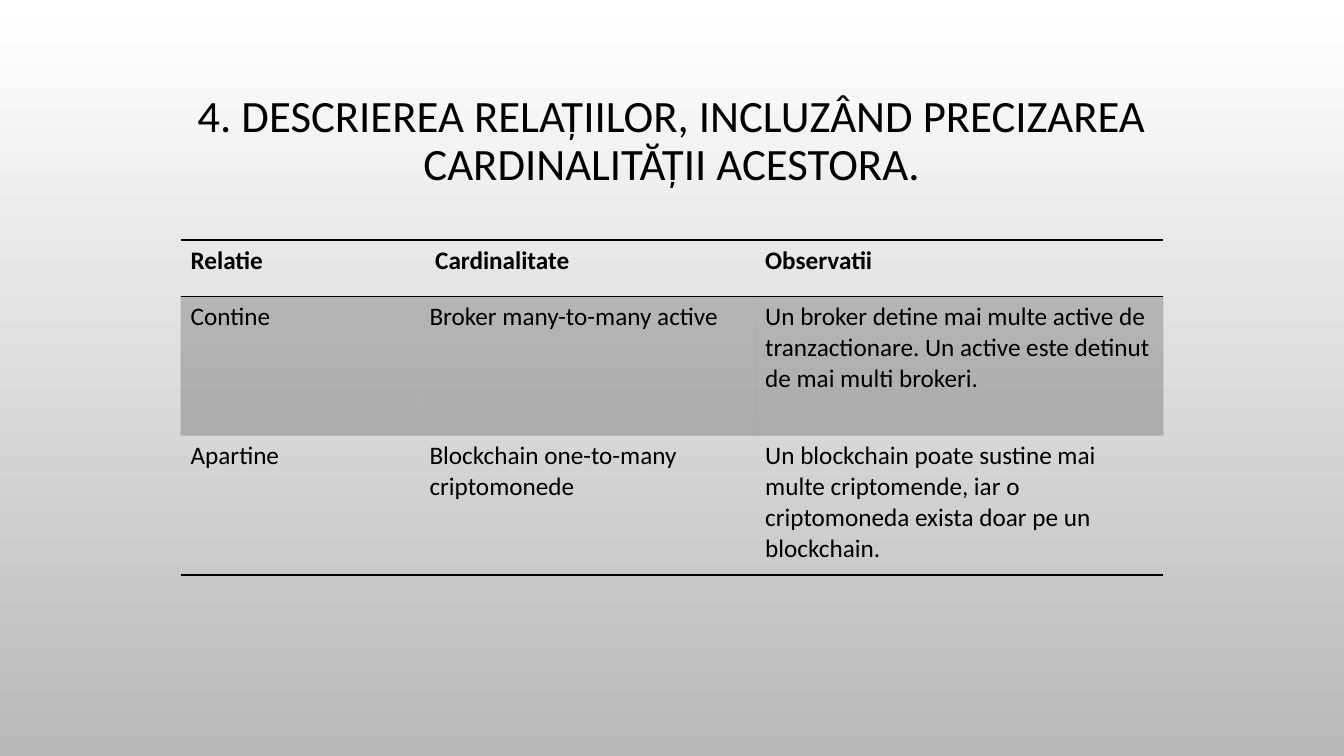
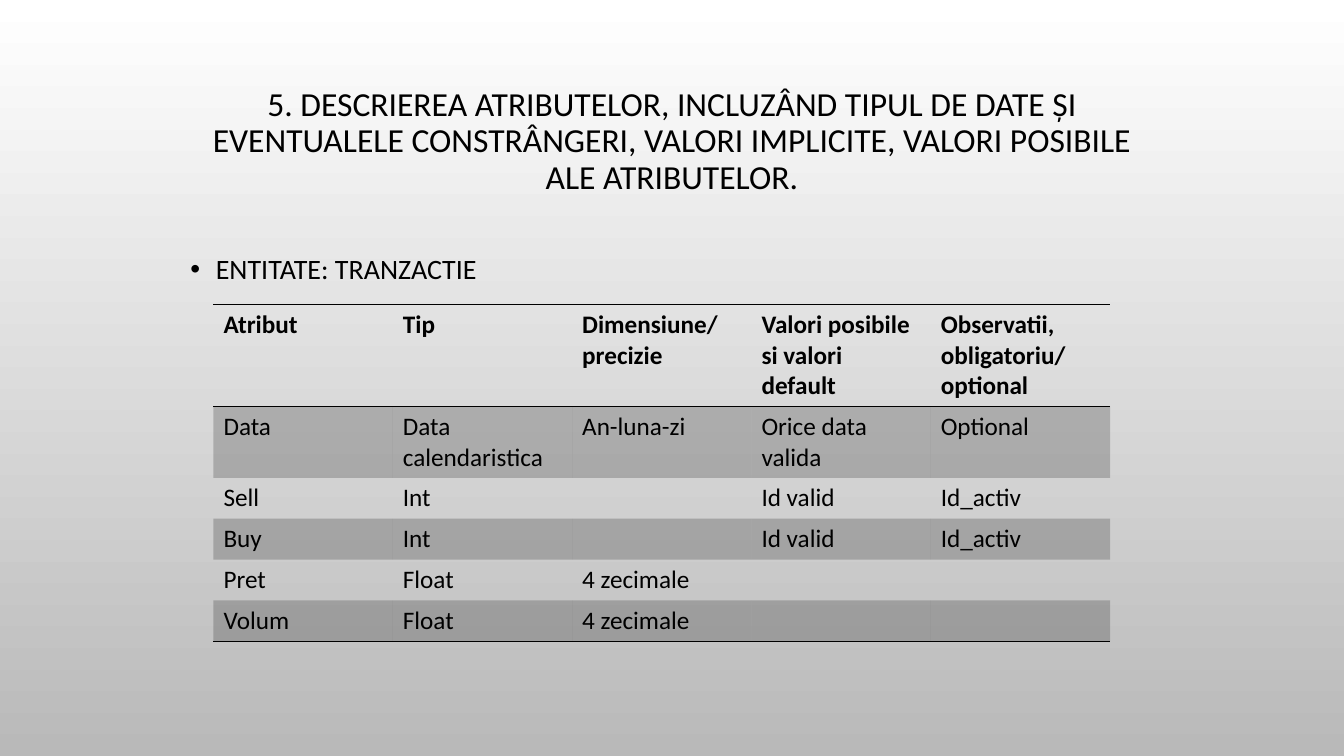
from dataclasses import dataclass

from lxml import etree
from pptx import Presentation
from pptx.dml.color import RGBColor
from pptx.enum.text import MSO_ANCHOR, PP_ALIGN
from pptx.oxml.ns import qn
from pptx.util import Cm, Pt

MIDDLE = MSO_ANCHOR.MIDDLE
CENTER = PP_ALIGN.CENTER
NO_TABLE_STYLE = "{2D5ABB26-0587-4C30-8999-92F81FD0307C}"


@dataclass(frozen=True)
class Theme:
    font: str = "Calibri"
    ink: str = "000000"
    background: tuple = ("FFFFFF", "B9B9B9")
    band_alpha: int = 20000
    bullet_size: int = 20
    table_size: int = 18
    rule_width: int = Pt(1)
    left: int = Cm(4.55)
    width: int = Cm(24.77)
    body_top: int = Cm(6.05)


theme = Theme()


def add_run(paragraph, text, size, bold=False):
    run = paragraph.add_run()
    run.text = text
    run.font.name = theme.font
    run.font.size = Pt(size)
    run.font.bold = bold
    run.font.color.rgb = RGBColor.from_string(theme.ink)


def add_ruled_table(slide, left, top, widths, heights, rows):
    """Bold header, shaded odd rows, rules around the header and at the foot."""
    shape = slide.shapes.add_table(len(rows), len(widths), left, top,
                                   Cm(sum(widths)), Cm(sum(heights)))
    table = shape.table
    table._tbl.tblPr.find(qn("a:tableStyleId")).text = NO_TABLE_STYLE
    for column, width in zip(table.columns, widths):
        column.width = Cm(width)
    for row, height in zip(table.rows, heights):
        row.height = Cm(height)
    for row_index, texts in enumerate(rows):
        header = row_index == 0
        if header:
            edges = ["a:lnT", "a:lnB"]
        elif row_index == len(rows) - 1:
            edges = ["a:lnB"]
        else:
            edges = []
        for column_index, text in enumerate(texts):
            cell = table.cell(row_index, column_index)
            if text:
                add_run(cell.text_frame.paragraphs[0], text, theme.table_size, header)
            properties = cell._tc.get_or_add_tcPr()
            # Shading
            if row_index % 2:
                cell.fill.solid()
                cell.fill.fore_color.rgb = RGBColor.from_string(theme.ink)
                color = properties.find(".//" + qn("a:srgbClr"))
                etree.SubElement(color, qn("a:alpha"), val=str(theme.band_alpha))
            else:
                cell.fill.background()
            # Rules come before the fill in the cell properties
            for position, edge in enumerate(edges):
                line = etree.Element(qn(edge), w=str(theme.rule_width))
                fill = etree.SubElement(line, qn("a:solidFill"))
                etree.SubElement(fill, qn("a:srgbClr"), val=theme.ink)
                properties.insert(position, line)


presentation = Presentation()
presentation.slide_width = Cm(33.87)
presentation.slide_height = Cm(19.05)
blank_layout = presentation.slide_layouts[6]

# Shared background, white at the top to grey at the bottom
background = presentation.slide_master.background.fill
background.gradient()
background.gradient_angle = 270
for stop, position, color in zip(background.gradient_stops, (0, 1), theme.background):
    stop.position = position
    stop.color.rgb = RGBColor.from_string(color)

# Slides with their titles
titles = [
    ("4. DESCRIEREA RELAȚIILOR, INCLUZÂND PRECIZAREA CARDINALITĂȚII ACESTORA.", 32),
    ("5. DESCRIEREA ATRIBUTELOR, INCLUZÂND TIPUL DE DATE ȘI EVENTUALELE "
     "CONSTRÂNGERI, VALORI IMPLICITE, VALORI POSIBILE ALE ATRIBUTELOR.", 24),
]
slides = []
for title, size in titles:
    slide = presentation.slides.add_slide(blank_layout)
    frame = slide.shapes.add_textbox(theme.left, Cm(1.8), theme.width, Cm(3.56)).text_frame
    frame.word_wrap = True
    frame.vertical_anchor = MIDDLE
    paragraph = frame.paragraphs[0]
    paragraph.alignment = CENTER
    paragraph.line_spacing = 0.9
    add_run(paragraph, title, size)
    slides.append(slide)
relations_slide, attributes_slide = slides

# Relations table
add_ruled_table(
    relations_slide, theme.left, theme.body_top, [6.02, 8.46, 10.29], [1.42, 3.51, 3.51],
    [
        ["Relatie", " Cardinalitate", "Observatii"],
        ["Contine", "Broker many-to-many active",
         "Un broker detine mai multe active de tranzactionare. "
         "Un active este detinut de mai multi brokeri."],
        ["Apartine", "Blockchain one-to-many criptomonede",
         "Un blockchain poate sustine mai multe criptomende, "
         "iar o criptomoneda exista doar pe un blockchain."],
    ])

# Entity bullet
frame = attributes_slide.shapes.add_textbox(
    theme.left, theme.body_top, theme.width, Cm(10.49)).text_frame
frame.word_wrap = True
paragraph = frame.paragraphs[0]
paragraph.line_spacing = 1.2
paragraph.space_before = Pt(10)
add_run(paragraph, "ENTITATE: TRANZACTIE", theme.bullet_size)
properties = paragraph._p.get_or_add_pPr()
indent = Cm(0.64)
properties.set("marL", str(indent))
properties.set("indent", str(-indent))
bullet_color = etree.SubElement(properties, qn("a:buClr"))
etree.SubElement(bullet_color, qn("a:srgbClr"), val=theme.ink)
etree.SubElement(properties, qn("a:buFont"), typeface="Arial")
etree.SubElement(properties, qn("a:buChar"), char="•")

# Attributes table
add_ruled_table(
    attributes_slide, Cm(5.38), Cm(7.67), [4.52] * 5, [2.57, 1.8] + [1.03] * 4,
    [
        ["Atribut", "Tip", "Dimensiune/ precizie", "Valori posibile si valori default",
         "Observatii, obligatoriu/ optional"],
        ["Data", "Data calendaristica", "An-luna-zi", "Orice data valida", "Optional"],
        ["Sell", "Int", "", "Id valid", "Id_activ"],
        ["Buy", "Int", "", "Id valid", "Id_activ"],
        ["Pret", "Float", "4 zecimale", "", ""],
        ["Volum", "Float", "4 zecimale", "", ""],
    ])

presentation.save("out.pptx")
